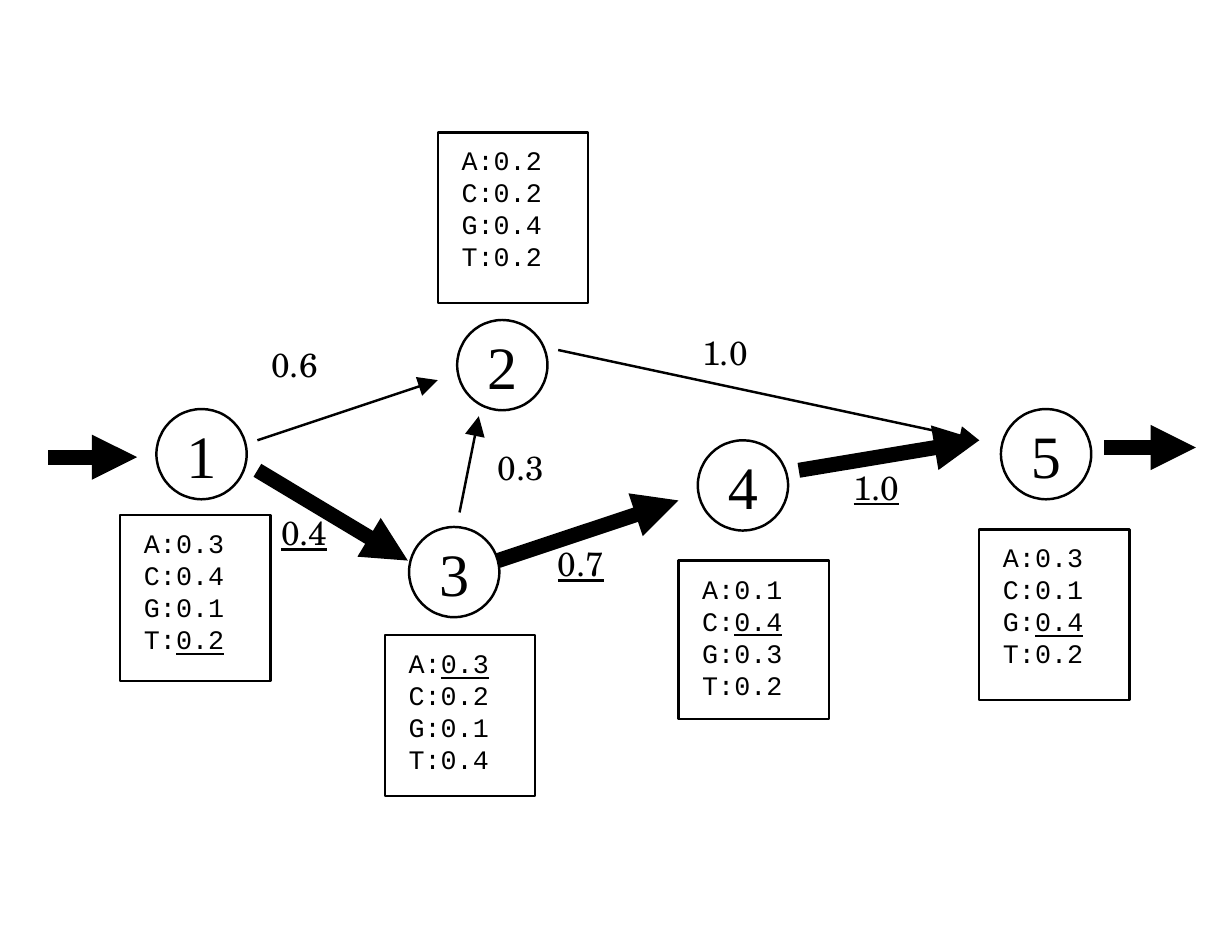
from dataclasses import dataclass

from lxml.etree import SubElement
from pptx import Presentation
from pptx.dml.color import RGBColor
from pptx.enum.shapes import MSO_CONNECTOR as Connector, MSO_SHAPE as Shape
from pptx.enum.text import MSO_ANCHOR as Anchor, PP_ALIGN as Align
from pptx.oxml.ns import qn
from pptx.util import Inches, Pt


@dataclass(frozen=True)
class Theme:
    ink: RGBColor = RGBColor(0, 0, 0)
    paper: RGBColor = RGBColor(255, 255, 255)
    state_font: tuple = ("Times New Roman", 18)
    weight_font: tuple = ("TeX Gyre Schola", 10)
    emission_font: tuple = ("Courier New", 8)
    thin: float = 0.75
    thick: float = 4.5


class ModelDiagram:
    """Draws a hidden Markov model on a slide, in columns and rows of an eighth of an inch."""

    STEP, LEFT, TOP = 0.125, 0.07, 0.08

    def __init__(self, slide, theme):
        self.shapes = slide.shapes
        self.theme = theme

    def point(self, column, row):
        return Inches(self.LEFT + column * self.STEP), Inches(self.TOP + row * self.STEP)

    def area(self, column, row, columns, rows):
        return *self.point(column, row), Inches(columns * self.STEP), Inches(rows * self.STEP)

    def outline(self, preset, *area):
        figure = self.shapes.add_shape(preset, *self.area(*area))
        figure.shadow.inherit = False
        figure.fill.solid()
        figure.fill.fore_color.rgb = self.theme.paper
        figure.line.color.rgb = self.theme.ink
        figure.line.width = Pt(self.theme.thin)
        return figure.text_frame

    def style(self, paragraph, font, align):
        paragraph.alignment = align
        paragraph.font.name, size = font
        paragraph.font.size = Pt(size)
        paragraph.font.color.rgb = self.theme.ink

    def state(self, number, column, row):
        frame = self.outline(Shape.OVAL, column, row, 3, 3)
        frame.margin_left = frame.margin_right = frame.margin_top = frame.margin_bottom = 0
        frame.vertical_anchor = Anchor.MIDDLE
        frame.word_wrap = False
        frame.text = number
        self.style(frame.paragraphs[0], self.theme.state_font, Align.CENTER)

    def emissions(self, column, row, rows, chances, emitted):
        frame = self.outline(Shape.RECTANGLE, column, row, 5, rows)
        frame.vertical_anchor = Anchor.TOP
        frame.word_wrap = True
        for index, (base, chance) in enumerate(zip("ACGT", chances)):
            entry = frame.add_paragraph() if index else frame.paragraphs[0]
            self.style(entry, self.theme.emission_font, Align.JUSTIFY)
            if base == emitted:
                entry.add_run().text = f"{base}:"
                value = entry.add_run()
                value.text = f"{chance}"
                value.font.underline = True
            else:
                entry.add_run().text = f"{base}:{chance}"

    def arrow(self, start, end, on_path):
        edge = self.shapes.add_connector(Connector.STRAIGHT, *self.point(*start), *self.point(*end))
        edge.line.color.rgb = self.theme.ink
        edge.line.width = Pt(self.theme.thick if on_path else self.theme.thin)
        SubElement(edge.line._get_or_add_ln(), qn("a:tailEnd"), type="triangle")
        SubElement(edge._element.spPr, qn("a:effectLst"))

    def weight(self, chance, column, row, on_path):
        frame = self.shapes.add_textbox(*self.area(column, row, 5.36, 2.56)).text_frame
        frame.word_wrap = True
        frame.text = f"{chance}"
        self.style(frame.paragraphs[0], self.theme.weight_font, Align.JUSTIFY)
        if on_path:
            frame.paragraphs[0].font.underline = True


STATES = [
    ("1", (4.64, 12.96), (3.44, 16.48, 5.52), (0.3, 0.4, 0.1, 0.2), "T"),
    ("2", (14.64, 10), (14, 3.76, 5.68), (0.2, 0.2, 0.4, 0.2), None),
    ("3", (13.04, 16.88), (12.24, 20.48, 5.36), (0.3, 0.2, 0.1, 0.4), "A"),
    ("4", (22.64, 14), (22, 18, 5.28), (0.1, 0.4, 0.3, 0.2), "C"),
    ("5", (32.72, 12.96), (32, 16.96, 5.68), (0.3, 0.1, 0.4, 0.2), "G"),
]
TRANSITIONS = [
    (0.6, (8, 14), (14, 12), (7.68, 10.4), False),
    (0.4, (8, 15), (13, 18), (8, 16), True),
    (1.0, (18, 11), (32, 14), (22, 10), False),
    (0.3, (14.72, 16.4), (15.36, 13.2), (15.2, 13.84), False),
    (0.7, (16, 18), (22, 16), (17.2, 17.04), True),
    (1.0, (26, 15), (32, 14), (27.04, 14.48), True),
]
ENTRY = (1.04, 14.56), (4, 14.56)
EXIT = (36.16, 14.24), (39.2, 14.24)


def main():
    deck = Presentation()
    deck.slide_width, deck.slide_height = Inches(5.12), Inches(3.94)
    model = ModelDiagram(deck.slides.add_slide(deck.slide_layouts[6]), Theme())
    for number, circle, box, chances, emitted in STATES:
        model.state(number, *circle)
        model.emissions(*box, chances, emitted)
    for chance, start, end, label, on_path in TRANSITIONS:
        model.arrow(start, end, on_path)
        model.weight(chance, *label, on_path)
    for start, end in (ENTRY, EXIT):
        model.arrow(start, end, True)
    deck.save("out.pptx")


if __name__ == "__main__":
    main()
